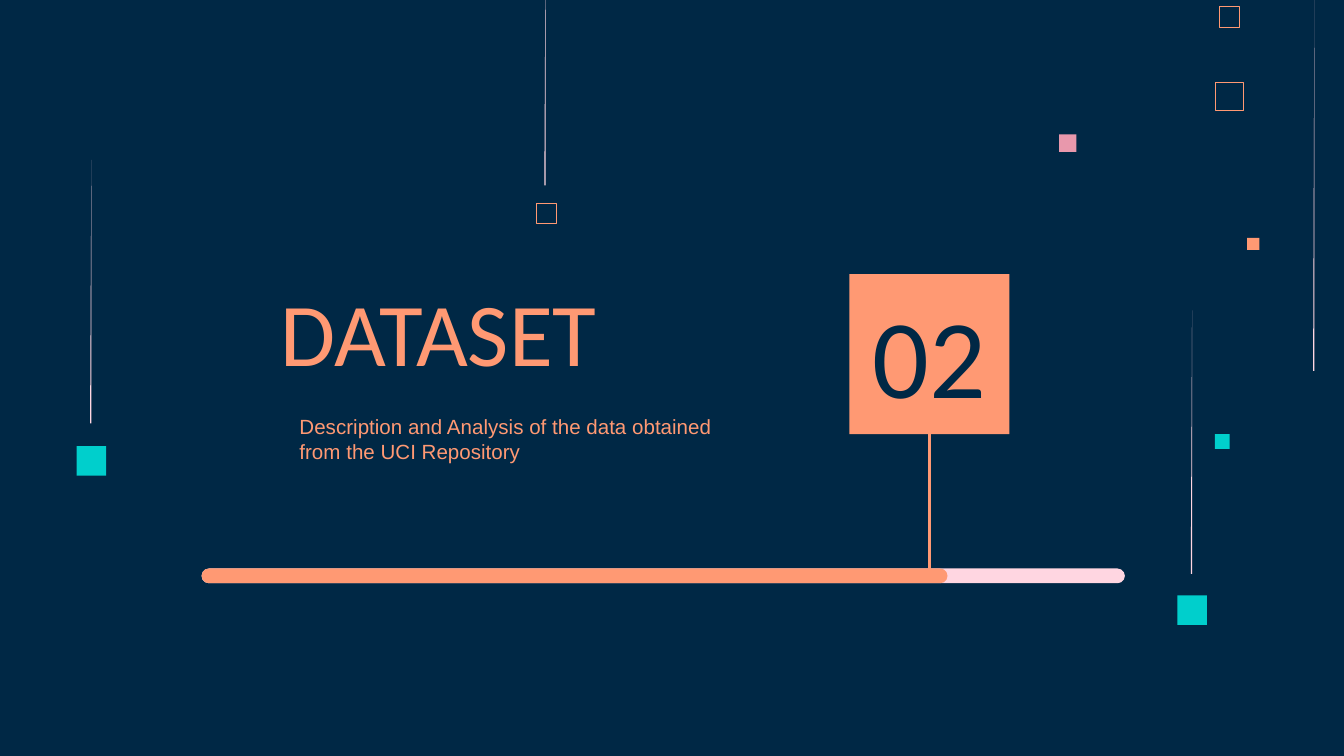
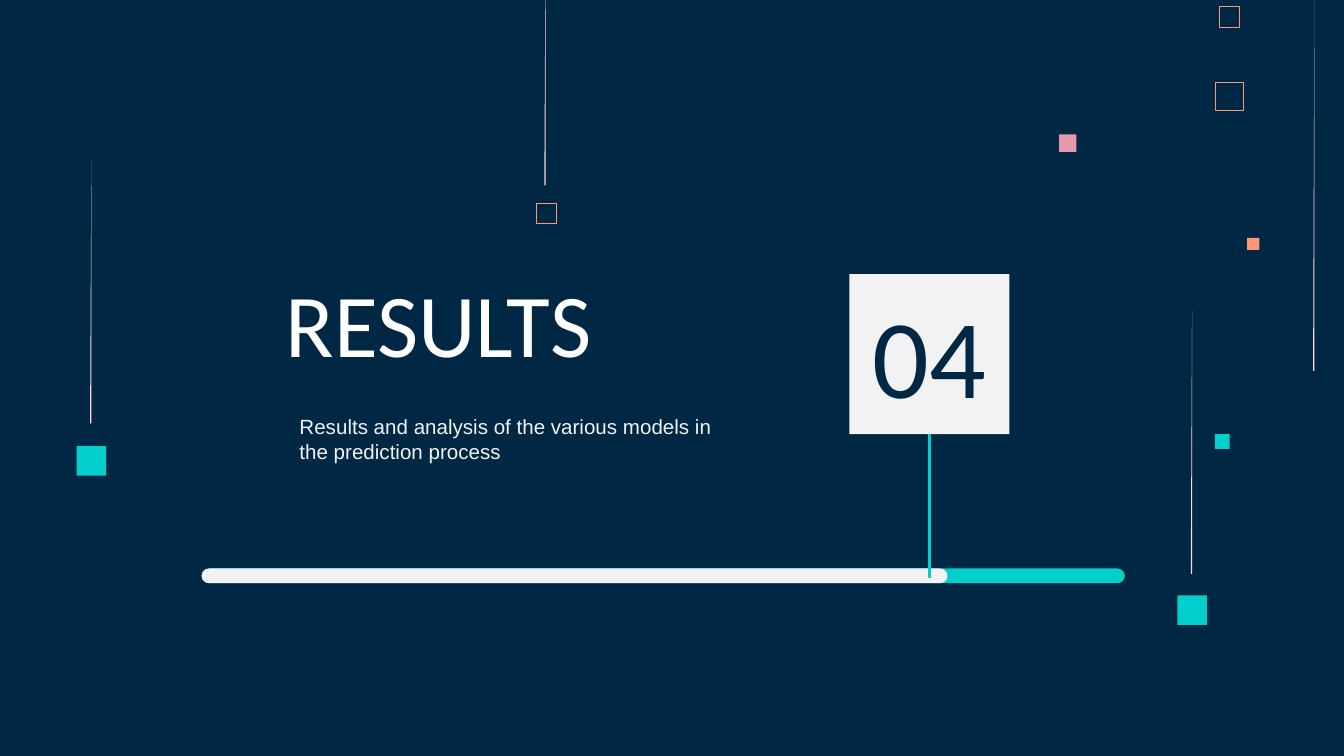
"""Build two section-divider slides with a progress bar and falling squares."""
from lxml import etree
from pptx import Presentation
from pptx.dml.color import RGBColor
from pptx.enum.shapes import MSO_CONNECTOR, MSO_SHAPE
from pptx.enum.text import MSO_ANCHOR, PP_ALIGN
from pptx.oxml.ns import qn
from pptx.util import Inches, Pt

NAVY = RGBColor(0x00, 0x28, 0x45)
ORANGE = RGBColor(0xFF, 0x99, 0x73)
TEAL = RGBColor(0x00, 0xCF, 0xCC)
ROSE = RGBColor(0xE8, 0x98, 0xAC)
PINK = RGBColor(0xFF, 0xD6, 0xE1)
LIGHT = RGBColor(0xF2, 0xF2, 0xF2)
WHITE = RGBColor(0xFF, 0xFF, 0xFF)

RECTANGLE, ROUNDED = MSO_SHAPE.RECTANGLE, MSO_SHAPE.ROUNDED_RECTANGLE
STRAIGHT = MSO_CONNECTOR.STRAIGHT
TOP, MIDDLE, BOTTOM = MSO_ANCHOR.TOP, MSO_ANCHOR.MIDDLE, MSO_ANCHOR.BOTTOM
LEFT, CENTER = PP_ALIGN.LEFT, PP_ALIGN.CENTER

COLUMNS = 10
ROWS = COLUMNS * 9 / 16
HEADING_FONT, BODY_FONT = "Calibri", "Arial"

FILLED_SQUARES = [
    (7.88, 1, 0.13, ROSE),
    (9.04, 3.23, 0.11, TEAL),
    (9.28, 1.77, 0.09, ORANGE),
    (8.76, 4.43, 0.22, TEAL),
    (0.57, 3.32, 0.22, TEAL),
]
OUTLINED_SQUARES = [
    (9.04, 0.61, 0.21, 0.45),
    (9.07, 0.05, 0.15, 0.32),
    (3.99, 1.51, 0.15, 0.32),
]
TRAILS = [(4.05, -0.48, 1.86), (9.77, 0, 2.76), (8.86, 2.31, 1.96), (0.67, 1.19, 1.96)]
TRAIL_WIDTH = 0.01

BADGE_LEFT, BADGE_TOP, BADGE_SIZE = 6.32, 2.04, 1.19
BAR_LEFT, BAR_TOP, BAR_HEIGHT = 1.5, 4.23, 0.11
TRACK_WIDTH, PROGRESS_WIDTH = 6.87, 5.55


class Deck:
    """Hold the shared style and the current slide; lengths are grid columns and rows."""

    def __init__(self):
        self.presentation = Presentation()
        self.presentation.slide_width = Inches(COLUMNS)
        self.presentation.slide_height = Inches(ROWS)
        self.column = self.presentation.slide_width / COLUMNS
        self.row = self.presentation.slide_height / ROWS
        background = self.presentation.slide_master.background.fill
        background.solid()
        background.fore_color.rgb = NAVY
        self.slide = None

    def add_slide(self):
        self.slide = self.presentation.slides.add_slide(self.presentation.slide_layouts[6])

    def place(self, *lengths):
        units = (self.column, self.row)
        return [round(length * units[index % 2]) for index, length in enumerate(lengths)]

    def paint(self, shape, fill=None, line=None, weight=0):
        shape.shadow.inherit = False
        if fill is None:
            shape.fill.background()
        else:
            shape.fill.solid()
            shape.fill.fore_color.rgb = fill
        if line is None:
            shape.line.fill.background()
        else:
            shape.line.color.rgb = line
            shape.line.width = Pt(weight)

    def square(self, left, top, size, **style):
        shape = self.slide.shapes.add_shape(RECTANGLE, *self.place(left, top, size, size))
        self.paint(shape, **style)

    def trail(self, left, top, height):
        right, bottom = left + TRAIL_WIDTH, top + height
        builder = self.slide.shapes.build_freeform(*self.place(right, top))
        builder.add_line_segments([self.place(left, bottom), self.place(right, bottom)])
        self.paint(builder.convert_to_shape(), fill=PINK)

    def bar(self, width, color):
        box = self.place(BAR_LEFT, BAR_TOP, width, BAR_HEIGHT)
        shape = self.slide.shapes.add_shape(ROUNDED, *box)
        shape.adjustments[0] = 0.5
        self.paint(shape, fill=color)

    def connector(self, x, top, bottom, color):
        line = self.slide.shapes.add_connector(STRAIGHT, *self.place(x, top, x, bottom))
        line.line.color.rgb = color
        line.line.width = Pt(1.5)
        etree.SubElement(line._element.spPr, qn("a:effectLst"))

    def text(self, box, words, size, color, font=HEADING_FONT, align=CENTER, anchor=MIDDLE):
        frame = self.slide.shapes.add_textbox(*self.place(*box)).text_frame
        frame.word_wrap = True
        frame.vertical_anchor = anchor
        frame.margin_left = frame.margin_right = Inches(0.1)
        frame.margin_top = frame.margin_bottom = Inches(0.1)
        paragraph = frame.paragraphs[0]
        paragraph.text = words
        paragraph.alignment = align
        paragraph.font.name = font
        paragraph.font.size = Pt(size)
        paragraph.font.color.rgb = color

    def decorate(self):
        for left, top, size, color in FILLED_SQUARES:
            self.square(left, top, size, fill=color)
        for left, top, size, weight in OUTLINED_SQUARES:
            self.square(left, top, size, line=ORANGE, weight=weight)
        for trail in TRAILS:
            self.trail(*trail)

    def section(self, number, title, summary, title_top, title_color, main, track, stem):
        self.add_slide()
        self.decorate()
        self.text((1.16, title_top, 4.21, 0.92), title, 48, title_color, anchor=BOTTOM)
        self.square(BADGE_LEFT, BADGE_TOP, BADGE_SIZE, fill=main)
        self.text((6.38, 2.32, 1.07, 0.63), number, 60, NAVY)
        self.bar(TRACK_WIDTH, track)
        self.bar(PROGRESS_WIDTH, main)
        self.connector(BADGE_LEFT + BADGE_SIZE / 2, BADGE_TOP + BADGE_SIZE, 4.3, stem)
        self.text((2.13, 2.98, 3.39, 1.15), summary, 11, main, BODY_FONT, LEFT, TOP)


def main():
    deck = Deck()
    deck.section(
        "02", "DATASET",
        "Description and Analysis of the data obtained from the UCI Repository",
        title_top=2.04, title_color=ORANGE, main=ORANGE, track=PINK, stem=ORANGE,
    )
    deck.section(
        "04", "RESULTS",
        "Results and analysis of the various models in the prediction process",
        title_top=1.97, title_color=WHITE, main=LIGHT, track=TEAL, stem=TEAL,
    )
    deck.presentation.save("out.pptx")


if __name__ == "__main__":
    main()
